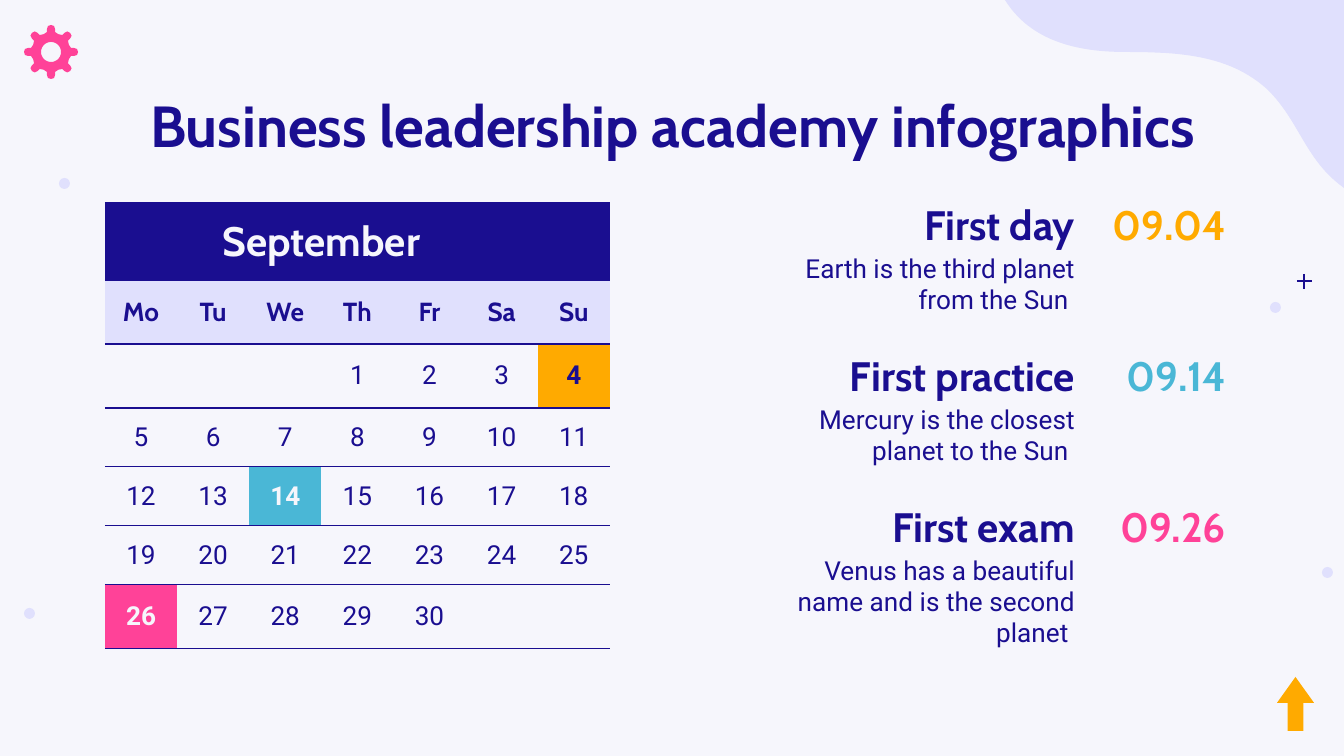
from math import cos, pi, sin

from lxml import etree
from pptx import Presentation
from pptx.dml.color import RGBColor
from pptx.enum.shapes import MSO_CONNECTOR, MSO_SHAPE
from pptx.enum.text import MSO_ANCHOR, MSO_AUTO_SIZE, PP_ALIGN
from pptx.oxml.ns import qn
from pptx.util import Pt

MID, RIGHT = PP_ALIGN.CENTER, PP_ALIGN.RIGHT
TOP, CENTER, BOTTOM = MSO_ANCHOR.TOP, MSO_ANCHOR.MIDDLE, MSO_ANCHOR.BOTTOM
OVAL, ARROW = MSO_SHAPE.OVAL, MSO_SHAPE.UP_ARROW
LINE, FIXED = MSO_CONNECTOR.STRAIGHT, MSO_AUTO_SIZE.NONE

SCALE = 9144000 / 1344
NAVY, PALE, LILAC = "1A0E90", "F6F6FC", "E0E0FD"
GOLD, BLUE, PINK = "FFAA00", "4AB7D6", "FF4298"

TITLE = {"name": "Cabin", "size": Pt(31), "bold": True}
HEAD = {"name": "Cabin", "size": Pt(22), "bold": True}
WEEK = {"name": "Cabin", "size": Pt(14), "bold": True}
BODY = {"name": "Roboto", "size": Pt(14), "bold": False}
MARK = {"name": "Roboto", "size": Pt(14), "bold": True}


def px(n):
    return round(n * SCALE)


def color(code):
    return RGBColor.from_string(code)


def bezier(a, b, c, d, steps=24):
    """Points along a cubic curve, without its start."""
    for i in range(1, steps + 1):
        t = i / steps
        u = 1 - t
        yield tuple(u**3 * p + 3 * u * u * t * q + 3 * u * t * t * r + t**3 * s
                    for p, q, r, s in zip(a, b, c, d))


class Deck:
    def __init__(self):
        self.prs = Presentation()
        self.prs.slide_width, self.prs.slide_height = px(1344), px(756)
        self.slide = self.prs.slides.add_slide(self.prs.slide_layouts[5])
        self.shapes = self.slide.shapes
        self.paint(self.slide.background, PALE)

    def paint(self, item, code):
        item.fill.solid()
        item.fill.fore_color.rgb = color(code)

    def plain(self, shape, code):
        shape.shadow.inherit = False
        self.paint(shape, code)
        shape.line.fill.background()

    def put(self, frame, text, style, code, align):
        para = frame.paragraphs[0]
        para.alignment = align
        run = para.add_run()
        run.text = text
        for key, value in style.items():
            setattr(run.font, key, value)
        run.font.color.rgb = color(code)
        return para

    def fit(self, frame, anchor):
        form = {"word_wrap": True, "auto_size": FIXED, "vertical_anchor": anchor}
        for side in ("left", "top", "right", "bottom"):
            form["margin_" + side] = px(13)
        for key, value in form.items():
            setattr(frame, key, value)

    def title(self, text, x, y, w, h):
        shape = self.shapes.title
        for key, value in zip(("left", "top", "width", "height"), (x, y, w, h)):
            setattr(shape, key, px(value))
        self.fit(shape.text_frame, TOP)
        para = self.put(shape.text_frame, text, TITLE, NAVY, MID)
        para.line_spacing = 1.15

    def text(self, text, x, y, w, h, style, code=NAVY, anchor=TOP):
        box = self.shapes.add_textbox(px(x), px(y), px(w), px(h))
        self.fit(box.text_frame, anchor)
        self.put(box.text_frame, text, style, code, RIGHT)

    def shape(self, kind, x, y, w, h, code, adjust=()):
        item = self.shapes.add_shape(kind, px(x), px(y), px(w), px(h))
        for i, value in enumerate(adjust):
            item.adjustments[i] = value
        self.plain(item, code)

    def outline(self, loops, code):
        """One filled shape; each loop after the first cuts a hole."""
        loops = [[(px(x), px(y)) for x, y in loop] for loop in loops]
        pen = self.shapes.build_freeform(*loops[0][0])
        for i, loop in enumerate(loops):
            if i:
                pen.move_to(*loop[0])
            pen.add_line_segments(loop[1:], close=True)
        self.plain(pen.convert_to_shape(), code)

    def line(self, x1, y1, x2, y2):
        item = self.shapes.add_connector(LINE, px(x1), px(y1), px(x2), px(y2))
        item.line.color.rgb = color(NAVY)
        item.line.width = Pt(0.78)
        etree.SubElement(item._element.spPr, qn("a:effectLst"))

    def border(self, cell):
        props = cell._tc.get_or_add_tcPr()
        for side in ("L", "R", "T", "B"):
            edge = etree.SubElement(props, qn("a:ln" + side), w=str(Pt(0.75)))
            if side in "LR":
                etree.SubElement(edge, qn("a:noFill"))
            else:
                fill = etree.SubElement(edge, qn("a:solidFill"))
                etree.SubElement(fill, qn("a:srgbClr"), val=NAVY)

    def cell(self, cell, text, style, code, fill):
        self.border(cell)
        self.paint(cell, fill)
        cell.vertical_anchor = CENTER
        if text:
            self.put(cell.text_frame, text, style, code, MID)

    def table(self, x, y, w, rows):
        grid = self.shapes.add_table(len(rows), 7, px(x), px(y), px(w),
                                     px(sum(rows))).table
        grid.first_row = grid.horz_banding = False
        for col in grid.columns:
            col.width = px(w / 7)
        for row, high in zip(grid.rows, rows):
            row.height = px(high)
        return grid


deck = Deck()

# Gear: one tooth turned eight times around a round hole
half = [(18, 7), (20, 4), (23, 4), (26, 3)]
tooth = [(r, -s) for r, s in half] + [(27, 0)] + half[::-1]
rim = [(51 + r * cos(k * pi / 4) - s * sin(k * pi / 4),
        52 + r * sin(k * pi / 4) + s * cos(k * pi / 4))
       for k in range(8) for r, s in tooth]
hole = [(51 + 10 * cos(k * pi / 20), 52 - 10 * sin(k * pi / 20)) for k in range(40)]
deck.outline([rim, hole], PINK)

# Corner wave
wave = [(1005, 0),
        *bezier((1005, 0), (1030, 40), (1075, 52), (1125, 52)),
        *bezier((1125, 52), (1180, 52), (1230, 55), (1268, 90)),
        *bezier((1268, 90), (1300, 122), (1305, 160), (1344, 188)),
        (1344, 0)]
deck.outline([wave], LILAC)

# Dots, plus sign and arrow
for x, y in [(59, 178), (1322, 567), (1270, 302), (24, 608)]:
    deck.shape(OVAL, x, y, 11, 11, LILAC)
deck.line(1297, 281, 1312, 281)
deck.line(1304, 274, 1304, 289)
deck.shape(ARROW, 1277, 677, 37, 54, GOLD, (0.43, 0.7))

deck.title("Business leadership academy infographics", 106, 66, 1133, 85)

# Calendar: the month starts on the fourth column
grid = deck.table(105, 203, 505, [77, 64, 64, 59, 59, 59, 64])
grid.cell(0, 0).merge(grid.cell(0, 5))
marks = {4: (NAVY, GOLD), 14: (PALE, BLUE), 26: (PALE, PINK)}
for c, name in enumerate(["Mo", "Tu", "We", "Th", "Fr", "Sa", "Su"]):
    deck.cell(grid.cell(0, c), "" if c else "September", HEAD, PALE, NAVY)
    deck.cell(grid.cell(1, c), name, WEEK, NAVY, LILAC)
    for r in range(5):
        day = r * 7 + c - 2
        label = str(day) if 1 <= day <= 30 else ""
        code, fill = marks.get(day, (NAVY, PALE))
        style = MARK if day in marks else BODY
        deck.cell(grid.cell(r + 2, c), label, style, code, fill)

# Key dates
events = [
    ("First day", "Earth is the third planet from the Sun ", "09.04", GOLD),
    ("First practice", "Mercury is the closest planet to the Sun ", "09.14", BLUE),
    ("First exam", "Venus has a beautiful name and is the second planet ", "09.26", PINK),
]
for i, (name, note, date, code) in enumerate(events):
    y = 203 + 151 * i
    deck.text(name, 755, y, 333, 59, HEAD, anchor=BOTTOM)
    deck.text(note, 755, y + 36, 333, 86, BODY)
    deck.text(date, 1075, y, 164, 59, HEAD, code, BOTTOM)

deck.prs.save("out.pptx")
